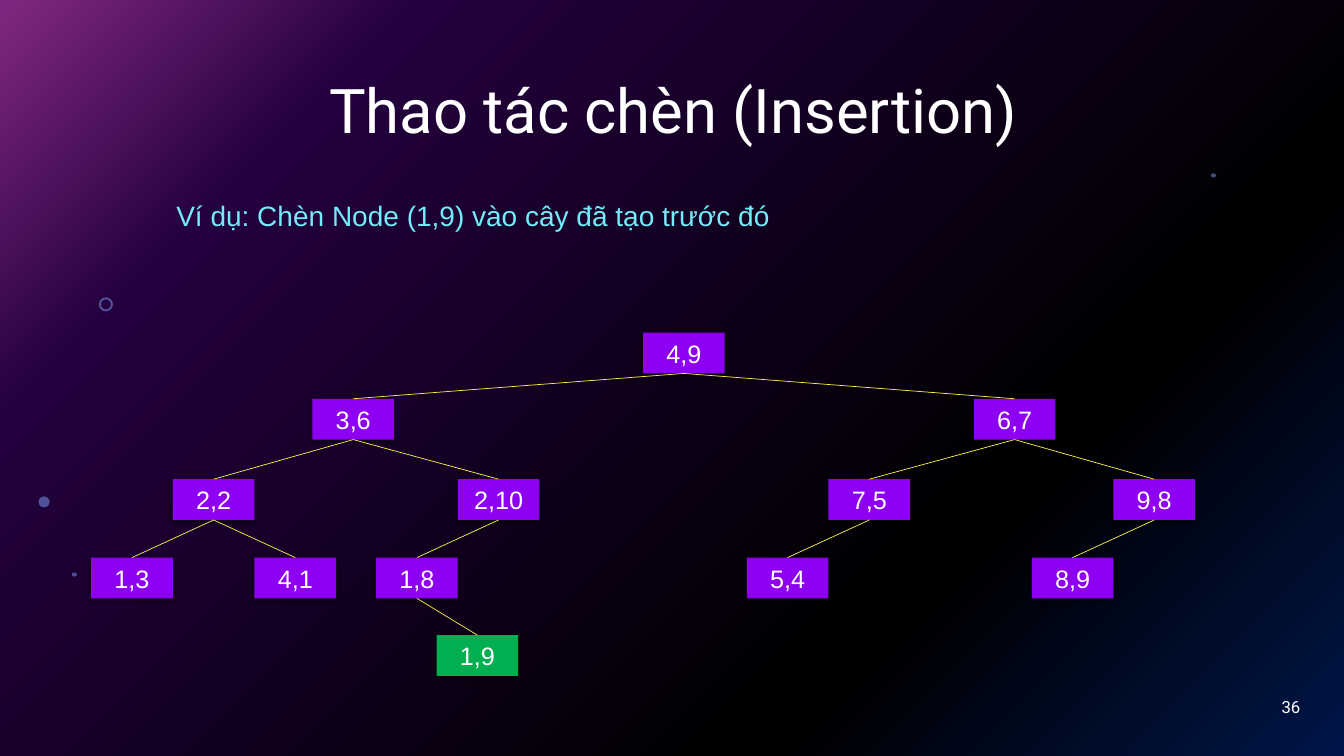
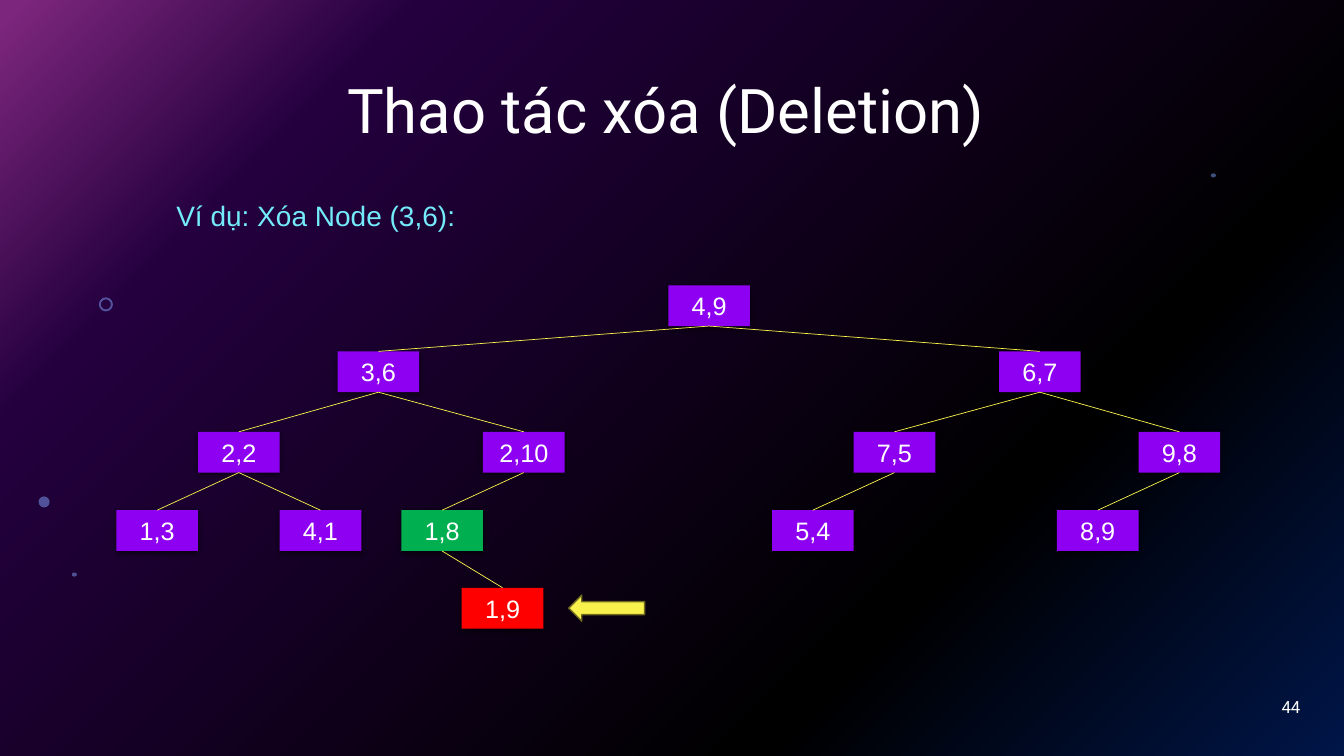
from lxml.etree import SubElement
from pptx import Presentation
from pptx.dml.color import RGBColor
from pptx.enum.shapes import MSO_CONNECTOR as Connector, MSO_SHAPE as Preset
from pptx.enum.text import MSO_ANCHOR as Anchor, MSO_AUTO_SIZE as AutoSize, PP_ALIGN as Align
from pptx.oxml.ns import qn
from pptx.util import Inches, Pt

WIDTH, HEIGHT = Inches(13.333), Inches(7.5)
COLUMN = Inches(0.81)
ROW = COLUMN // 2
LEVELS = (0, 1.62, 3.59, 5.51, 7.41)

BLACK, WHITE, CYAN, YELLOW, OLIVE = "000000", "FFFFFF", "73EBF9", "FAF24C", "6E6A21"
PURPLE, GREEN, RED, STAR = "8E00F2", "00B050", "FF0000", "83A7FD"
BACKDROP = ((0, "022D94"), (28, BLACK), (80, "4A027F"), (99, "FC4EFB"))

TITLE = {"size": Pt(44), "name": "Roboto", "color": WHITE}
SUBTITLE = {"size": Pt(20), "name": "Arial", "color": CYAN}
NUMBER = {"size": Pt(12), "name": "Roboto", "color": WHITE}
LABEL = {"size": Pt(18), "name": "Arial", "color": WHITE}

STARS = (
    (Preset.DONUT, 7.88, 40.27, 1.05, 1.87),
    (Preset.OVAL, 3.28, 66.4, 0.83, 1.47),
    (Preset.OVAL, 5.53, 76, 0.38, 0.53),
    (Preset.OVAL, 90.28, 23.2, 0.38, 0.53),
)

TREE = ("4,9", 0, [
    ("3,6", -4.05, [
        ("2,2", -1.71, [("1,3", -1, []), ("4,1", 1, [])]),
        ("2,10", 1.78, [("1,8", -1, [("1,9", 0.74, [])])]),
    ]),
    ("6,7", 4.05, [
        ("7,5", -1.78, [("5,4", -1, [])]),
        ("9,8", 1.71, [("8,9", -1, [])]),
    ]),
])


def paint(color_format, color):
    color_format.rgb = RGBColor.from_string(color)


def percent(left, top, width, height):
    return [int(side * share / 100) for side, share in
            zip((WIDTH, HEIGHT, WIDTH, HEIGHT), (left, top, width, height))]


def add_filled(page, preset, place, color, opacity=100):
    shape = page.shapes.add_shape(preset, *place)
    shape.shadow.inherit = False
    shape.line.fill.background()
    shape.fill.solid()
    paint(shape.fill.fore_color, color)
    if opacity < 100:
        tint = shape.element.xpath("./p:spPr/a:solidFill/a:srgbClr")[0]
        SubElement(tint, qn("a:alpha"), val=str(opacity * 1000))
    return shape


def write(frame, text, style, align, anchor, spacing=1.0):
    frame.word_wrap = True
    frame.vertical_anchor = anchor
    para = frame.paragraphs[0]
    para.alignment, para.line_spacing = align, spacing
    span = para.add_run()
    span.text = text
    for key, value in style.items():
        if key == "color":
            paint(span.font.color, value)
        else:
            setattr(span.font, key, value)


def add_text(page, place, *content):
    write(page.shapes.add_textbox(*percent(*place)).text_frame, *content)


def add_soft_shadow(shape):
    effects = shape.element.xpath("./p:spPr/a:effectLst")[0]
    shadow = SubElement(effects, qn("a:outerShdw"), blurRad=str(Pt(4.5)),
                        dist=str(Pt(1.5)), dir="5400000", algn="ctr", rotWithShape="0")
    tint = SubElement(shadow, qn("a:srgbClr"), val=BLACK)
    SubElement(tint, qn("a:alpha"), val="63000")


def add_branch(page, parent, child):
    branch = page.shapes.add_connector(Connector.STRAIGHT, 0, 0, 0, 0)
    branch.begin_connect(parent, 2)
    branch.end_connect(child, 0)
    branch.line.width = Pt(0.5)
    paint(branch.line.color, YELLOW)
    SubElement(branch.element.spPr, qn("a:effectLst"))


def add_tree(page, tree, left, top, colors, level=0):
    label, offset, children = tree
    left += int(offset * COLUMN)
    place = (left, top + int(LEVELS[level] * ROW), COLUMN, ROW)
    box = add_filled(page, Preset.RECTANGLE, place, colors.get(label, PURPLE))
    add_soft_shadow(box)
    write(box.text_frame, label, LABEL, Align.CENTER, Anchor.MIDDLE)
    box.text_frame.auto_size = AutoSize.SHAPE_TO_FIT_TEXT
    boxes = {label: box}
    for child in children:
        boxes.update(add_tree(page, child, left, top, colors, level + 1))
        add_branch(page, box, boxes[child[0]])
    return boxes


def add_pointer(page, box):
    width, height = int(0.93 * COLUMN), int(0.64 * ROW)
    left = box.left + int(1.31 * COLUMN)
    top = box.top + (box.height - height) // 2
    arrow = add_filled(page, Preset.LEFT_ARROW, (left, top, width, height), YELLOW)
    arrow.line.width = Pt(1)
    paint(arrow.line.color, OLIVE)


def set_backdrop(master):
    fill = master.background.fill
    fill.gradient()
    fill.gradient_angle = 135
    stops = master.element.xpath(".//p:bg//a:gsLst")[0]
    stops.clear()
    for position, color in BACKDROP:
        stop = SubElement(stops, qn("a:gs"), pos=str(position * 1000))
        SubElement(stop, qn("a:srgbClr"), val=color)


def add_page(deck, title, subtitle, number):
    page = deck.slides.add_slide(deck.slide_layouts[6])
    add_filled(page, Preset.RECTANGLE, percent(0, 0, 100, 100), BLACK, 50)
    for preset, x, y, width, height in STARS:
        place = percent(x - width / 2, y - height / 2, width, height)
        star = add_filled(page, preset, place, STAR, 49)
        if preset == Preset.DONUT:
            star.adjustments[0] = 0.14
    add_text(page, (7, 5.33, 86.25, 19.33), title, TITLE, Align.CENTER, Anchor.MIDDLE, 0.9)
    add_text(page, (75, 90.8, 22.5, 5.33), number, NUMBER, Align.RIGHT, Anchor.MIDDLE)
    add_text(page, (12.38, 26.13, 77.63, 7.47), subtitle, SUBTITLE, Align.LEFT, Anchor.TOP, 0.9)
    return page


def main():
    deck = Presentation()
    deck.slide_width, deck.slide_height = WIDTH, HEIGHT
    set_backdrop(deck.slide_master)

    insertion = add_page(deck, "Thao tác chèn (Insertion)",
                         "Ví dụ: Chèn Node (1,9) vào cây đã tạo trước đó", "36")
    add_tree(insertion, TREE, Inches(6.38), Inches(3.3), {"1,9": GREEN})

    deletion = add_page(deck, "Thao tác xóa (Deletion) ", "Ví dụ: Xóa Node (3,6):", "44")
    boxes = add_tree(deletion, TREE, Inches(6.63), Inches(2.83), {"1,8": GREEN, "1,9": RED})
    add_pointer(deletion, boxes["1,9"])

    deck.save("out.pptx")


if __name__ == "__main__":
    main()
